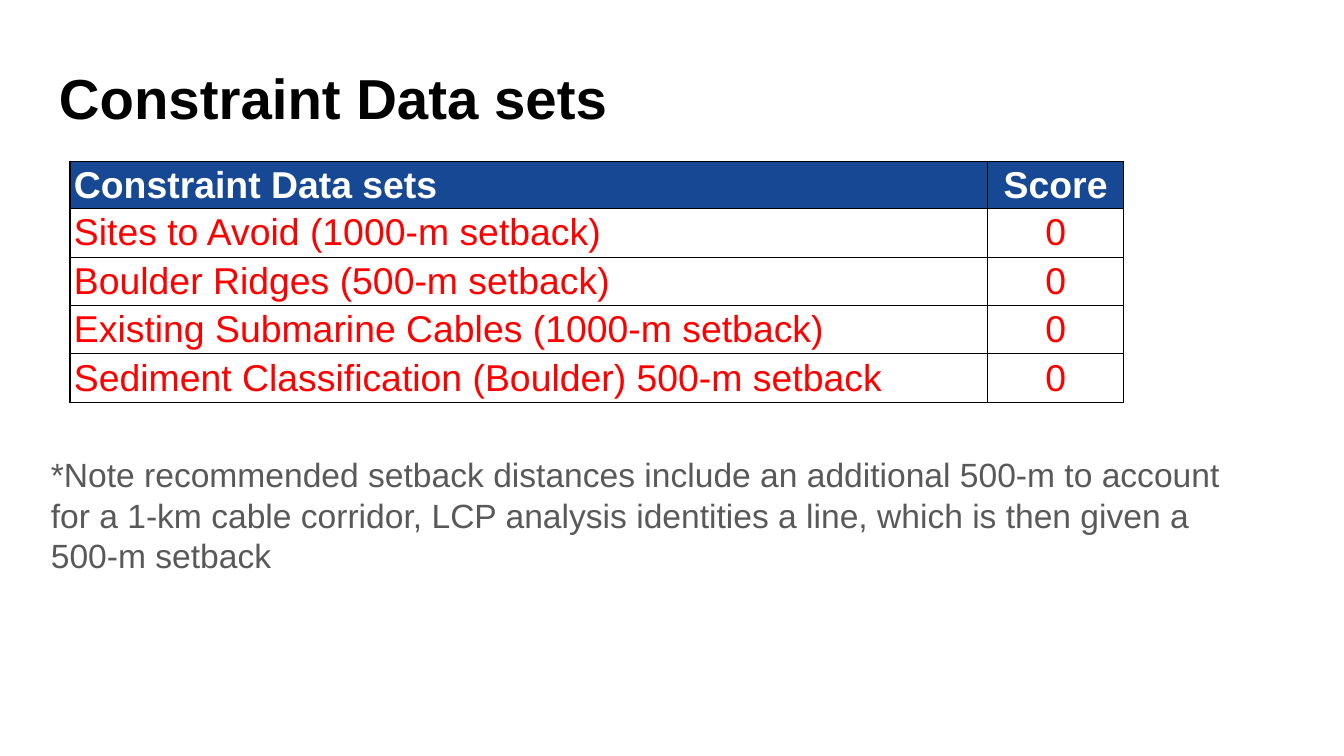
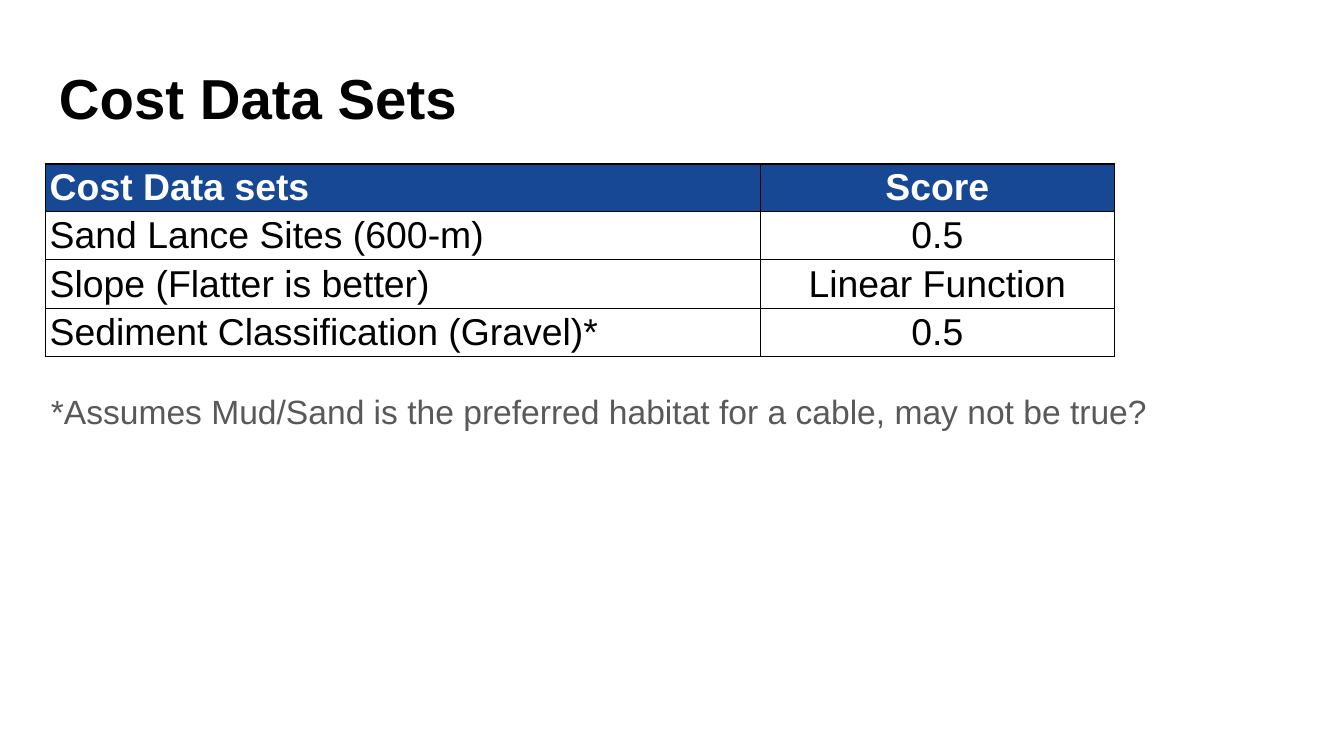
from pptx import Presentation
from pptx.util import Inches, Pt
from pptx.dml.color import RGBColor as RGB
from pptx.enum.text import PP_ALIGN as Align, MSO_ANCHOR as Anchor
from pptx.oxml import parse_xml
from pptx.oxml.ns import nsdecls

BLACK = RGB(0x00, 0x00, 0x00)
WHITE = RGB(0xFF, 0xFF, 0xFF)
BLUE = RGB(0x17, 0x48, 0x94)
RED = RGB(0xFF, 0x00, 0x00)
GRAY = RGB(0x59, 0x59, 0x59)
FONT = "Arial"
WIDE = 10
HEAD, ROW = 0.3, 0.36

SLIDES = [
    {
        "title": "Constraint Data sets",
        "at": (0.52, 1.2),
        "cols": (6.83, 1.01),
        "color": RED,
        "rows": [
            ("Constraint Data sets", "Score"),
            ("Sites to Avoid (1000-m setback)", "0"),
            ("Boulder Ridges (500-m setback)", "0"),
            ("Existing Submarine Cables (1000-m setback)", "0"),
            ("Sediment Classification (Boulder) 500-m setback", "0"),
        ],
        "note": "*Note recommended setback distances include an additional 500-m "
                "to account for a 1-km cable corridor, LCP analysis identities a "
                "line, which is then given a 500-m setback",
        "top": 3.28,
    },
    {
        "title": "Cost Data Sets",
        "at": (0.34, 1.22),
        "cols": (5.32, 2.63),
        "color": BLACK,
        "rows": [
            ("Cost Data sets", "Score"),
            ("Sand Lance Sites (600-m)", "0.5"),
            ("Slope (Flatter is better)", "Linear Function"),
            ("Sediment Classification (Gravel)*", "0.5"),
        ],
        "note": "*Assumes Mud/Sand is the preferred habitat for a cable, "
                "may not be true?",
        "top": 2.81,
    },
]


def write(para, text, size, color, bold=False):
    run = para.add_run()
    run.text = text
    font = run.font
    font.name, font.size, font.bold = FONT, Pt(size), bold
    font.color.rgb = color


def add_text(slide, box, text, size, color, bold=False):
    frame = slide.shapes.add_textbox(*map(Inches, box)).text_frame
    frame.word_wrap = True
    frame.margin_left = frame.margin_right = Inches(0.1)
    frame.margin_top = frame.margin_bottom = Inches(0.1)
    write(frame.paragraphs[0], text, size, color, bold)


def add_edges(cell):
    props = cell._tc.get_or_add_tcPr()
    for spot, side in enumerate("LRTB"):
        props.insert(spot, parse_xml(
            f'<a:ln{side} {nsdecls("a")} w="{Pt(0.75)}"><a:solidFill>'
            f'<a:srgbClr val="{BLACK}"/></a:solidFill></a:ln{side}>'))


def add_grid(slide, data):
    rows, cols = data["rows"], data["cols"]
    high = HEAD + ROW * (len(rows) - 1)
    box = (*data["at"], sum(cols), high)
    table = slide.shapes.add_table(
        len(rows), len(cols), *map(Inches, box)).table
    table.horz_banding = False
    for col, wide in zip(table.columns, cols):
        col.width = Inches(wide)
    for i, row in enumerate(rows):
        table.rows[i].height = Inches(ROW if i else HEAD)
        for j, text in enumerate(row):
            cell = table.cell(i, j)
            cell.margin_left = cell.margin_right = Inches(0.03)
            cell.margin_top = cell.margin_bottom = Inches(0.01)
            cell.vertical_anchor = Anchor.MIDDLE
            if i:
                cell.fill.background()
            else:
                cell.fill.solid()
                cell.fill.fore_color.rgb = BLUE
            add_edges(cell)
            para = cell.text_frame.paragraphs[0]
            para.alignment = Align.CENTER if j else Align.LEFT
            write(para, text, 20, data["color"] if i else WHITE, not i)


def main():
    deck = Presentation()
    deck.slide_width, deck.slide_height = Inches(WIDE), Inches(WIDE * 9 / 16)
    for data in SLIDES:
        slide = deck.slides.add_slide(deck.slide_layouts[6])
        add_text(slide, (0.34, 0.37, 9.32, 0.63), data["title"],
                 30.2, BLACK, True)
        add_grid(slide, data)
        add_text(slide, (0.28, data["top"], 9.08, 0.81), data["note"],
                 18, GRAY)
    deck.save("out.pptx")


if __name__ == "__main__":
    main()
